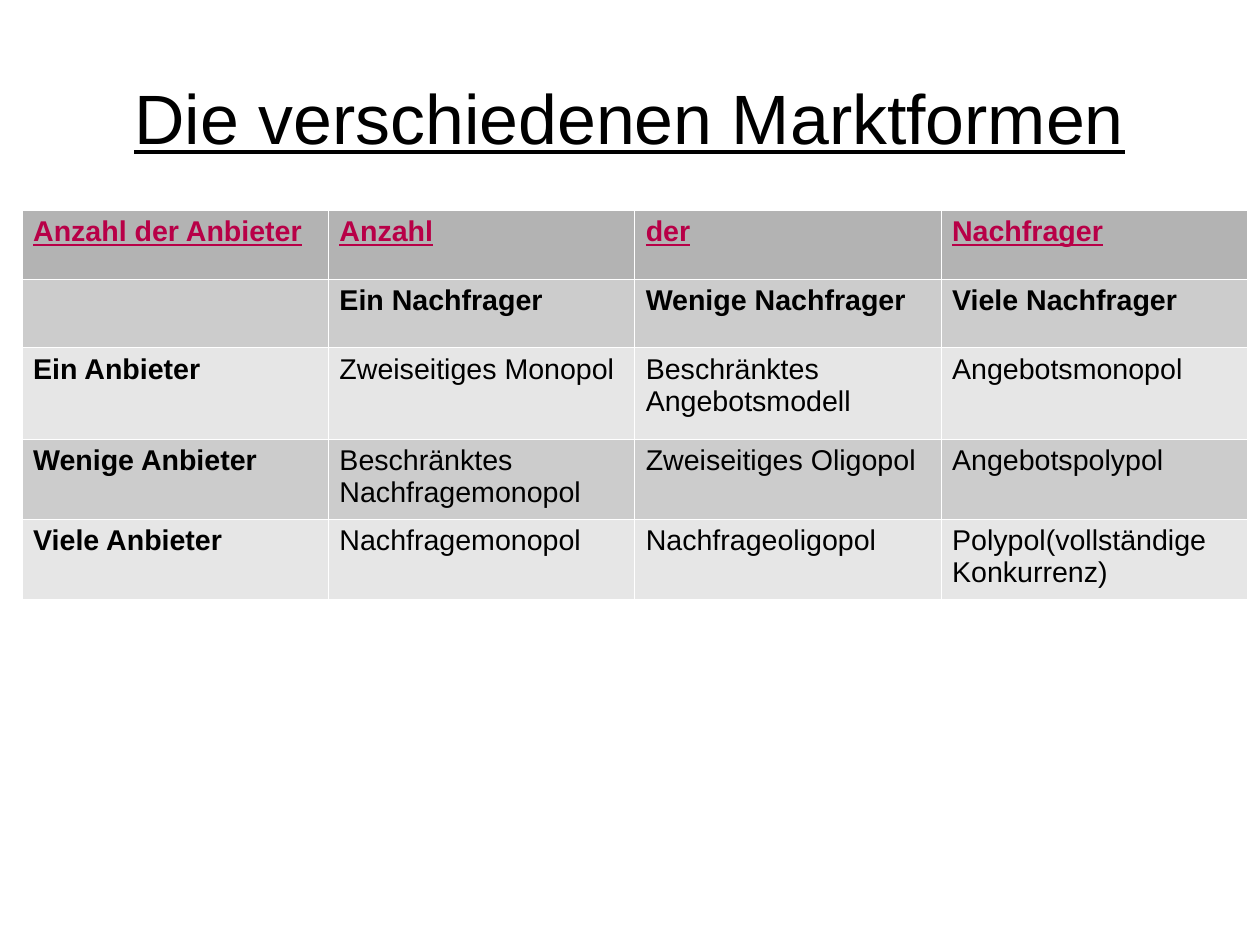
from lxml.etree import SubElement
from pptx import Presentation
from pptx.dml.color import RGBColor
from pptx.enum.text import MSO_ANCHOR, PP_ALIGN
from pptx.oxml.ns import qn
from pptx.util import Cm, Inches, Pt

# Content
TITLE = "Die verschiedenen Marktformen"
MARKET_FORMS = [
    ("Anzahl der Anbieter", "Anzahl", "der", "Nachfrager"),
    ("", "Ein Nachfrager", "Wenige Nachfrager", "Viele Nachfrager"),
    ("Ein Anbieter", "Zweiseitiges Monopol", "Beschränktes Angebotsmodell",
     "Angebotsmonopol"),
    ("Wenige Anbieter", "Beschränktes Nachfragemonopol",
     "Zweiseitiges Oligopol", "Angebotspolypol"),
    ("Viele Anbieter", "Nachfragemonopol", "Nachfrageoligopol",
     "Polypol(vollständige Konkurrenz)"),
]
ROW_HEIGHTS = [0.6, 0.6, 0.8, 0.7, 0.7]
COLUMN_WIDTH = 2.68
COLORS = {"text": "000000", "heading": "B80047", "border": "FFFFFF",
          "header": "B3B3B3", "dark": "CCCCCC", "light": "E6E6E6"}


def set_font(para, size, color, bold=False, underline=False):
    font = para.font
    font.name, font.size = "Arial", Pt(size)
    font.bold, font.underline = bold, underline
    font.color.rgb = RGBColor.from_string(COLORS[color])


def add_borders(cell):
    properties = cell._tc.get_or_add_tcPr()
    for side in ("lnL", "lnR", "lnT", "lnB"):
        line = SubElement(properties, qn(f"a:{side}"), w=str(Pt(0.06)))
        fill = SubElement(line, qn("a:solidFill"))
        SubElement(fill, qn("a:srgbClr"), val=COLORS["border"])


# Page of 28 by 21 cm
deck = Presentation()
deck.slide_width = Cm(28)
deck.slide_height = Cm(21)
page = deck.slides.add_slide(deck.slide_layouts[5])

# Title
title = page.shapes.title
title.left, title.top = Inches(0.55), Inches(0.33)
title.width, title.height = Inches(9.92), Inches(1.38)
frame = title.text_frame
frame.text = TITLE
frame.word_wrap = True
frame.vertical_anchor = MSO_ANCHOR.MIDDLE
frame.margin_left = frame.margin_right = 0
frame.margin_top = frame.margin_bottom = 0
frame.paragraphs[0].alignment = PP_ALIGN.CENTER
set_font(frame.paragraphs[0], 44, "text", underline=True)

# Table of market forms
column_count = len(MARKET_FORMS[0])
table = page.shapes.add_table(
    len(MARKET_FORMS), column_count, Inches(0.19), Inches(1.84),
    Inches(COLUMN_WIDTH * column_count), Inches(sum(ROW_HEIGHTS))).table
table.first_row = table.horz_banding = False
for column in table.columns:
    column.width = Inches(COLUMN_WIDTH)

# Cells: grey bands alternate below the header row
for r, texts in enumerate(MARKET_FORMS):
    table.rows[r].height = Inches(ROW_HEIGHTS[r])
    is_header = r == 0
    band = "header" if is_header else ("light", "dark")[r % 2]
    for c, text in enumerate(texts):
        cell = table.cell(r, c)
        cell.text = text
        add_borders(cell)
        cell.fill.solid()
        cell.fill.fore_color.rgb = RGBColor.from_string(COLORS[band])
        set_font(cell.text_frame.paragraphs[0], 18,
                 "heading" if is_header else "text",
                 bold=r < 2 or c == 0, underline=is_header)

deck.save("out.pptx")
